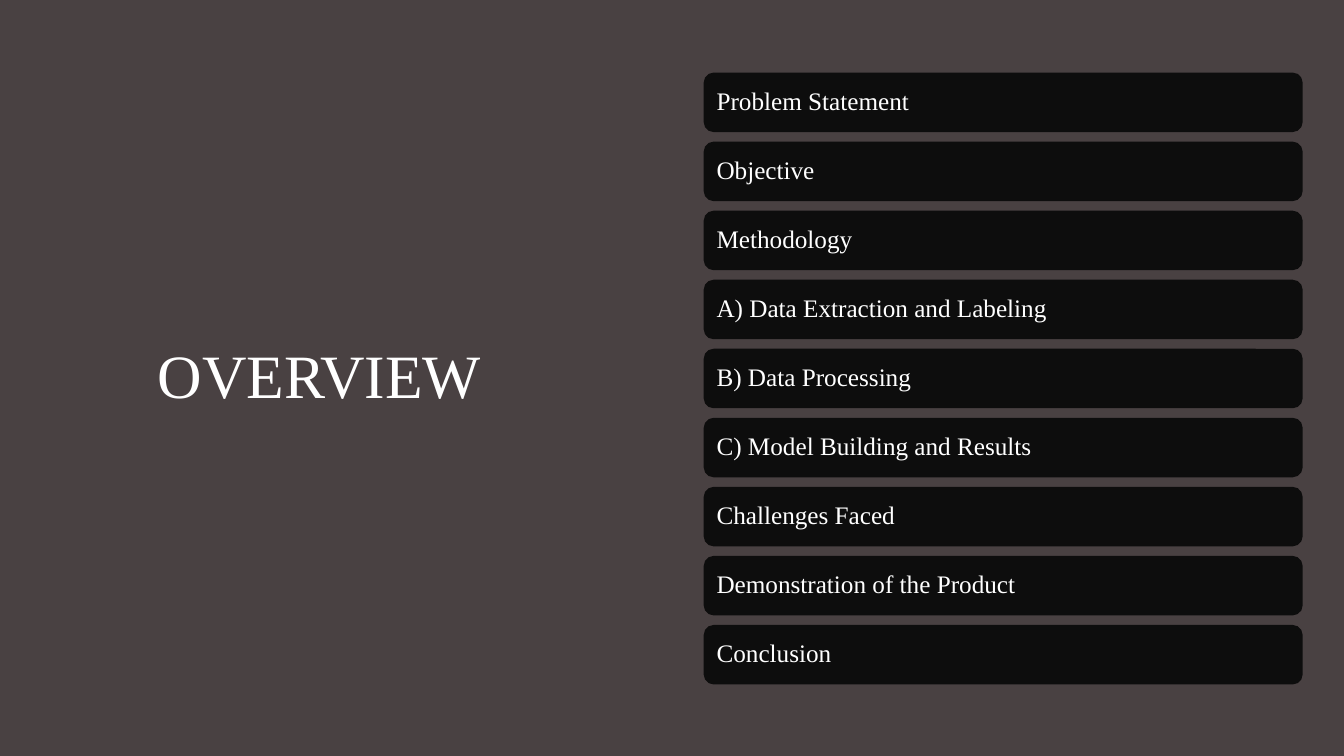
from dataclasses import dataclass

from pptx import Presentation
from pptx.dml.color import RGBColor
from pptx.enum.shapes import MSO_SHAPE as Shape
from pptx.enum.text import MSO_ANCHOR as Anchor, PP_ALIGN as Align
from pptx.util import Inches, Pt


@dataclass(frozen=True)
class Theme:
    background: RGBColor = RGBColor(0x49, 0x41, 0x42)
    card: RGBColor = RGBColor(0x0D, 0x0D, 0x0D)
    text: RGBColor = RGBColor(0xFF, 0xFF, 0xFF)
    font: str = "Times New Roman"
    heading_size: int = 44
    topic_size: int = 18


THEME = Theme()
TOPICS = [
    "Problem Statement",
    "Objective",
    "Methodology",
    "A) Data Extraction and Labeling",
    "B) Data Processing",
    "C) Model Building and Results",
    "Challenges Faced",
    "Demonstration of the Product",
    "Conclusion",
]


def write_line(frame, text, size, align):
    frame.word_wrap = True
    frame.vertical_anchor = Anchor.MIDDLE
    paragraph = frame.paragraphs[0]
    paragraph.text = text
    paragraph.alignment = align
    paragraph.line_spacing = 0.9
    paragraph.font.name = THEME.font
    paragraph.font.size = Pt(size)
    paragraph.font.color.rgb = THEME.text


def add_heading(slide, text, left, top, width, height):
    heading = slide.shapes.add_textbox(left, top, width, height)
    write_line(heading.text_frame, text, THEME.heading_size, Align.CENTER)


def add_agenda(slide, topics, left, top, width, height):
    card_height = Inches(0.59)
    pitch = (height - card_height) / (len(topics) - 1)
    for position, topic in enumerate(topics):
        card = slide.shapes.add_shape(
            Shape.ROUNDED_RECTANGLE, left, top + round(position * pitch), width, card_height
        )
        card.shadow.inherit = False
        card.fill.solid()
        card.fill.fore_color.rgb = THEME.card
        card.line.fill.background()
        frame = card.text_frame
        frame.margin_left = frame.margin_right = Inches(0.1)
        write_line(frame, topic, THEME.topic_size, Align.LEFT)


def main():
    deck = Presentation()
    deck.slide_width, deck.slide_height = Inches(13.33), Inches(7.5)
    slide = deck.slides.add_slide(deck.slide_layouts[6])
    slide.background.fill.solid()
    slide.background.fill.fore_color.rgb = THEME.background
    add_heading(slide, "OVERVIEW", Inches(0.92), Inches(2.69), Inches(4.5), Inches(2.12))
    add_agenda(slide, TOPICS, Inches(6.98), Inches(0.72), Inches(5.94), Inches(6.07))
    deck.save("out.pptx")


if __name__ == "__main__":
    main()
